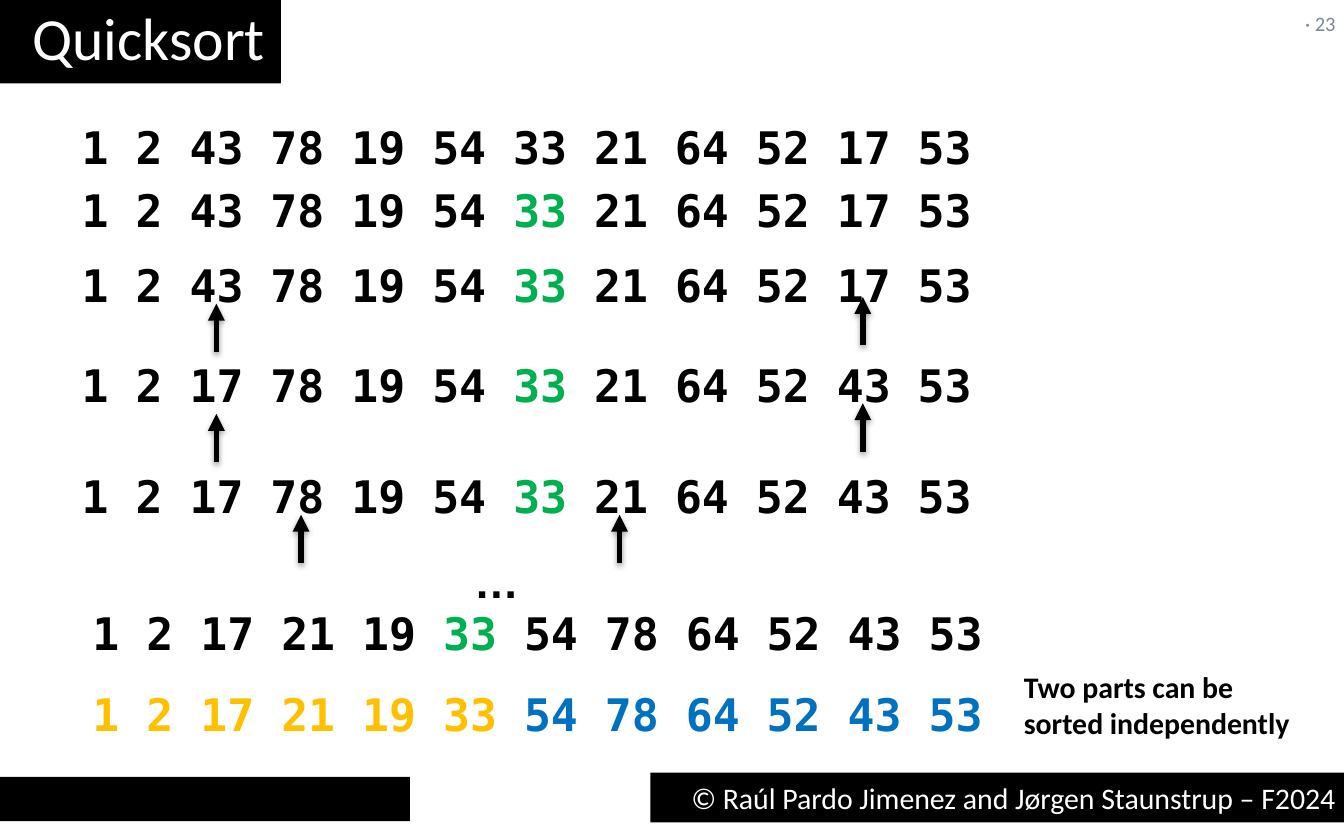
from lxml import etree
from pptx import Presentation, util as u
from pptx.dml.color import RGBColor
from pptx.enum import shapes, text
from pptx.oxml import parse_xml
from pptx.oxml.ns import nsdecls, qn

PX = 9144
BLACK, WHITE, GREY = "000000", "FFFFFF", "778A95"
GREEN, AMBER, BLUE = "00B050", "FFC000", "0070C0"
MONO = "DejaVu Sans Mono"
START = "1 2 43 78 19 54 ", "33", " 21 64 52 17 53"
SWAPPED = "1 2 17 78 19 54 ", "33", " 21 64 52 43 53"
SORTED = "1 2 17 21 19 ", "33 ", "54 78 64 52 43 53"
PIVOT = BLACK, GREEN, BLACK
ARROW_HEIGHT = 36


def px(n):
    """Convert px to EMU."""
    return u.Emu(n * PX)


def rgb(value):
    """Turn a hex string into a colour."""
    return RGBColor.from_string(value)


def write(sp, lines, size, font="Calibri", bold=False, align=text.PP_ALIGN.LEFT,
          anchor=text.MSO_ANCHOR.TOP, wrap=True, insets=(10, 5, 10, 5)):
    """Fill a shape with lines, each a list of (words, colour) runs."""
    tf = sp.text_frame
    tf.word_wrap, tf.vertical_anchor = wrap, anchor
    tf.margin_left, tf.margin_top, tf.margin_right, tf.margin_bottom = map(px, insets)
    for i, line in enumerate(lines):
        p = tf.paragraphs[0] if i == 0 else tf.add_paragraph()
        p.alignment = align
        for words, color in line:
            r = p.add_run()
            r.text = words
            r.font.size, r.font.name, r.font.bold = u.Pt(size), font, bold
            r.font.color.rgb = rgb(color)


def add_text(s, box, lines, size, **style):
    """Place a text box."""
    write(s.shapes.add_textbox(*map(px, box)), lines, size, **style)


def add_bar(s, box):
    """Place a black bar and return it."""
    sp = s.shapes.add_shape(shapes.MSO_SHAPE.RECTANGLE, *map(px, box))
    sp.shadow.inherit = False
    sp.fill.solid()
    sp.fill.fore_color.rgb = rgb(BLACK)
    sp.line.fill.background()
    return sp


def add_arrow(s, x, top):
    """Place an upward arrow with a soft shadow."""
    c = s.shapes.add_connector(shapes.MSO_CONNECTOR.STRAIGHT,
                               px(x), px(top + ARROW_HEIGHT), px(x), px(top))
    c.line.color.rgb, c.line.width = rgb(BLACK), u.Pt(3)
    etree.SubElement(c.line._get_or_add_ln(), qn("a:tailEnd"), type="triangle")
    c._element.spPr.append(parse_xml(
        f'<a:effectLst {nsdecls("a")}><a:outerShdw blurRad="40000" dist="20000" '
        'dir="5400000" rotWithShape="0"><a:srgbClr val="000000">'
        '<a:alpha val="38000"/></a:srgbClr></a:outerShdw></a:effectLst>'))


def add_step(s, box, parts, colors, arrows=()):
    """Place one state of the list with arrows at (x, y) offsets in its box."""
    add_text(s, box, [zip(parts, colors)], 24, font=MONO, bold=True)
    for x, y in arrows:
        add_arrow(s, box[0] + x, box[1] + y)


def add_steps(s, box):
    """Place the sorting steps from top to bottom."""
    left, top, width, height = box
    steps = [
        (0, 0, START, (BLACK,) * 3, ()),
        (0, 47, START, PIVOT, ()),
        (0, 103, START, PIVOT, ((110, 39), (591, 34))),
        (0, 177, SWAPPED, PIVOT, ((110, 47), (591, 39))),
        (0, 260, SWAPPED, PIVOT, ((173, 39), (410, 39))),
        (8, 362, SORTED, PIVOT, ()),
        (8, 422, SORTED, (AMBER, AMBER, BLUE), ()),
    ]
    for x, y, parts, colors, arrows in steps:
        add_step(s, (left + x, top + y, width, height), parts, colors, arrows)
    add_text(s, (left + 292, top + 323, 54, height), [[("…", BLACK)]], 24,
             font="Arial", bold=True, wrap=False)


def add_header(s, box):
    """Place the title bar and the page number."""
    left, top, width, height = box
    write(add_bar(s, (left, top, 209, height)), [[("Quicksort", WHITE)]], 32,
          anchor=text.MSO_ANCHOR.MIDDLE, wrap=False, insets=(24, 0, 10, 8))
    add_text(s, (left + width - 29, top + 5, 25, 24), [[("· 23", GREY)]], 11,
             anchor=text.MSO_ANCHOR.MIDDLE, wrap=False, insets=(0, 0, 0, 0))


def add_footer(s, box):
    """Place the two footer bars and the copyright line."""
    left, top, width, height = box
    add_bar(s, (left, top + 3, 305, 33))
    write(add_bar(s, (left + 484, top, width - 484, height)),
          [[("© Raúl Pardo Jimenez and Jørgen Staunstrup – F2024", WHITE)]],
          16, align=text.PP_ALIGN.RIGHT)


def main():
    """Build and save the slide."""
    prs = Presentation()
    prs.slide_width, prs.slide_height = px(1000), px(625)
    s = prs.slides.add_slide(prs.slide_layouts[6])
    add_footer(s, (0, 575, 1004, 37))
    add_header(s, (0, 0, 1000, 62))
    add_steps(s, (51, 84, 706, 50))
    add_text(s, (752, 493, 220, 64),
             [[("Two parts can be", BLACK)], [("sorted independently", BLACK)]],
             16, bold=True, wrap=False)
    prs.save("out.pptx")


if __name__ == "__main__":
    main()
